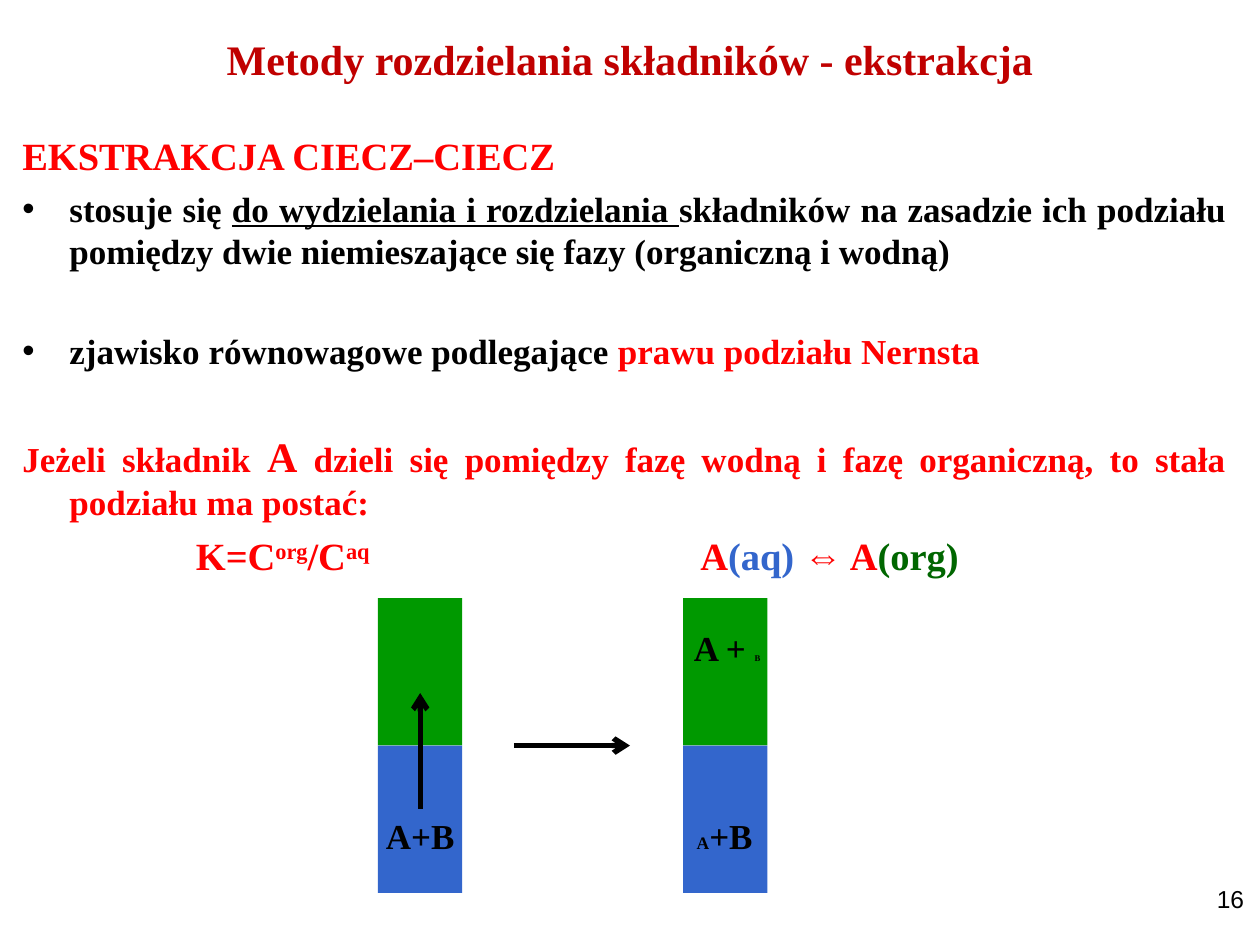
from pptx import Presentation
from pptx.dml.color import RGBColor
from pptx.enum.shapes import MSO_CONNECTOR, MSO_SHAPE
from pptx.enum.text import MSO_ANCHOR, PP_ALIGN
from pptx.oxml.ns import qn
from pptx.util import Cm, Pt
from lxml.etree import SubElement

THEME = {
    "serif": "Times New Roman", "sans": "Arial",
    "title": "C00000", "red": "FF0000", "black": "000000",
    "blue": "3366CC", "green": "009900", "dark_green": "006600",
    "h1": 24, "h2": 22, "body": 20, "number": 14, "small": 10, "tiny": 5,
}

TITLE = [("Metody rozdzielania składników - ekstrakcja", {"size": "h1", "color": "title"})]
RED = {"color": "red"}
FORMULA = {"size": "h2", "color": "red"}
SUPER = {**FORMULA, "raised": True}

BODY = [
    {"runs": [("EKSTRAKCJA CIECZ–CIECZ", FORMULA)]},
    {"before": 5, "bullet": True, "runs": [
        ("stosuje się ", {}),
        ("do wydzielania i rozdzielania ", {"underline": True}),
        ("składników na zasadzie ich podziału pomiędzy dwie niemieszające się fazy (organiczną i wodną)", {}),
    ]},
    {"before": 33.5, "bullet": True, "runs": [
        ("zjawisko równowagowe podlegające ", {}),
        ("prawu podziału Nernsta", RED),
    ]},
    {"before": 33.5, "runs": [
        ("Jeżeli składnik ", RED),
        ("A", {"size": "h1", "color": "red"}),
        (" dzieli się pomiędzy fazę wodną i fazę organiczną, to stała podziału ma postać:", RED),
    ]},
    {"before": 5.5, "tabs": (3.5, 13.67), "runs": [
        ("\tK=C", FORMULA), ("org", SUPER), ("/C", FORMULA), ("aq", SUPER),
        ("\tA", FORMULA), ("(aq) ", {"size": "h2", "color": "blue"}),
        ("⇔", {**FORMULA, "font": "sans"}), (" A", FORMULA),
        ("(org)", {"size": "h2", "color": "dark_green"}),
    ]},
]

COLUMNS = [7.62, 13.77]
COLUMN_TOP, COLUMN_W, PHASE_H = 12.06, 1.7, 2.97
PHASES = ["green", "blue"]
LABEL_W, LABEL_H = 2.12, 1.12
LABELS = [
    (7.41, 16.3, [("A+B", {})]),
    (13.55, 16.3, [("A", {"size": "small"}), ("+B", {})]),
    (13.6, 12.5, [("A + ", {}), ("B", {"size": "tiny"})]),
]
BOUNDARY = COLUMN_TOP + PHASE_H
MIDDLE = COLUMNS[0] + COLUMN_W / 2
ARROWS = [
    (MIDDLE, 16.3, MIDDLE, 13.97),
    (10.36, BOUNDARY, 12.7, BOUNDARY),
]
NUMBER = [("16", {"size": "number", "font": "sans", "bold": False})]


def color(name):
    return RGBColor.from_string(THEME[name])


def add_runs(p, runs):
    for text, style in runs:
        r = p.add_run()
        r.text = text
        f = r.font
        f.name = THEME[style.get("font", "serif")]
        f.size = Pt(THEME[style.get("size", "body")])
        f.bold = style.get("bold", True)
        f.color.rgb = color(style.get("color", "black"))
        if style.get("underline"):
            f.underline = True
        if style.get("raised"):
            r._r.get_or_add_rPr().set("baseline", "30000")


def add_text(s, box, paragraphs, align, anchor=MSO_ANCHOR.TOP):
    tf = s.shapes.add_textbox(*map(Cm, box)).text_frame
    tf.word_wrap = True
    tf.vertical_anchor = anchor
    for i, item in enumerate(paragraphs):
        p = tf.add_paragraph() if i else tf.paragraphs[0]
        p.alignment = align
        if "before" in item:
            p.space_before = Pt(item["before"])
        add_runs(p, item["runs"])
    return tf


def format_body(p, item):
    pPr = p._p.get_or_add_pPr()
    if "tabs" in item:
        tabs = SubElement(pPr, qn("a:tabLst"))
        for pos in item["tabs"]:
            SubElement(tabs, qn("a:tab"), pos=str(Cm(pos)), algn="l")
        return
    pPr.set("marL", str(Cm(0.95)))
    pPr.set("indent", str(Cm(-0.95)))
    if item.get("bullet"):
        clr = SubElement(pPr, qn("a:buClr"))
        SubElement(clr, qn("a:srgbClr"), val=THEME["black"])
        SubElement(pPr, qn("a:buFont"), typeface=THEME["sans"])
        SubElement(pPr, qn("a:buChar"), char="•")


def add_phase(s, x, y, name):
    sp = s.shapes.add_shape(MSO_SHAPE.RECTANGLE, Cm(x), Cm(y), Cm(COLUMN_W), Cm(PHASE_H))
    sp.shadow.inherit = False
    sp.fill.solid()
    sp.fill.fore_color.rgb = color(name)
    sp.line.fill.background()


def add_arrow(s, ends):
    c = s.shapes.add_connector(MSO_CONNECTOR.STRAIGHT, *map(Cm, ends))
    c.line.color.rgb = color("black")
    c.line.width = Pt(3)
    SubElement(c.line._get_or_add_ln(), qn("a:tailEnd"), type="arrow")
    SubElement(c._element.spPr, qn("a:effectLst"))


def main():
    prs = Presentation()
    prs.slide_width, prs.slide_height = Cm(25.4), Cm(19.05)
    s = prs.slides.add_slide(prs.slide_layouts[6])

    tf = add_text(s, (0.2, 2.54, 24.77, 16.08), BODY, PP_ALIGN.JUSTIFY)
    for p, item in zip(tf.paragraphs, BODY):
        format_body(p, item)

    for x in COLUMNS:
        for i, name in enumerate(PHASES):
            add_phase(s, x, COLUMN_TOP + i * PHASE_H, name)
    for ends in ARROWS:
        add_arrow(s, ends)
    for x, y, runs in LABELS:
        add_text(s, (x, y, LABEL_W, LABEL_H), [{"runs": runs}], PP_ALIGN.CENTER)

    add_text(s, (1.9, 0.25, 21.6, 1.88), [{"runs": TITLE}], PP_ALIGN.CENTER, MSO_ANCHOR.MIDDLE)
    add_text(s, (19.4, 17.7, 5.93, 1.32), [{"runs": NUMBER}], PP_ALIGN.RIGHT)
    prs.save("out.pptx")


if __name__ == "__main__":
    main()
